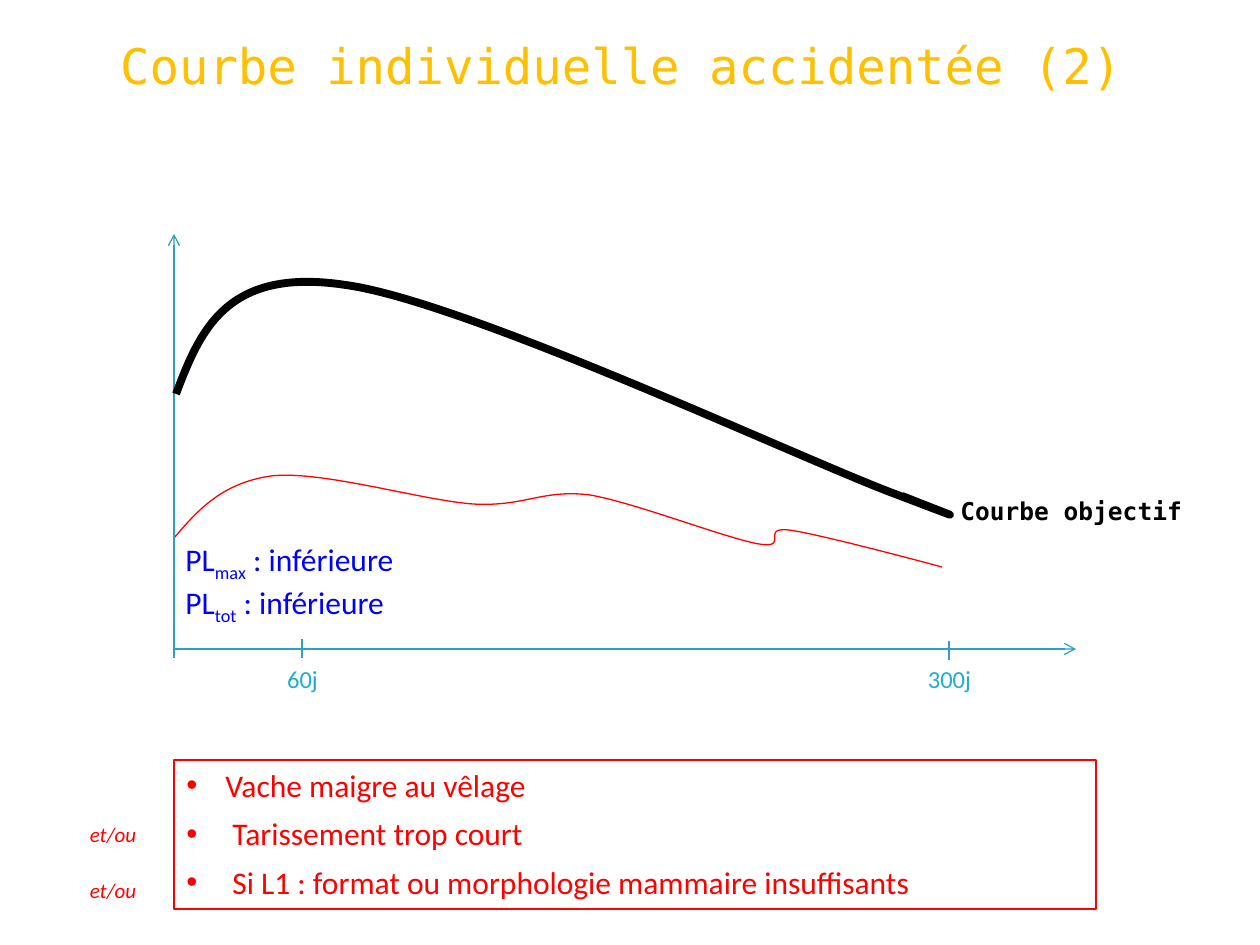
import dataclasses
import pptx
import pptx.dml.color
import pptx.enum.shapes
import pptx.enum.text
import pptx.oxml
import pptx.oxml.ns
import pptx.util

PX = 914400 / 126
SANS, MONO = "Calibri", "DejaVu Sans Mono"
HUES = {"gold": "FFC000", "red": "FF0000", "black": "000000", "blue": "0000FF",
        "axis": "2DA2BF", "mark": "1FAECD"}
ALIGN = pptx.enum.text.PP_ALIGN
ANCHOR = pptx.enum.text.MSO_ANCHOR
qn = pptx.oxml.ns.qn


@dataclasses.dataclass
class Box:
    x: int
    y: int
    w: int
    h: int


@dataclasses.dataclass
class Line:
    x1: int
    y1: int
    x2: int
    y2: int
    arrow: bool = False


@dataclasses.dataclass
class Curve:
    """A start point, then three points for each Bezier piece."""
    points: list
    hue: str
    width: float


def emu(px: float) -> int:
    return round(px * PX)


def rgb(hue: str):
    return pptx.dml.color.RGBColor.from_string(HUES[hue])


def stroke(line, hue: str, width: float) -> None:
    line.color.rgb = rgb(hue)
    line.width = pptx.util.Pt(width)


def bullet(para, indent: int) -> None:
    props = para._p.get_or_add_pPr()
    props.set("marL", str(emu(indent)))
    props.set("indent", str(-emu(indent)))
    props.append(props.makeelement(qn("a:buFont"), {"typeface": "Arial"}))
    props.append(props.makeelement(qn("a:buChar"), {"char": "•"}))


def write(shapes, box: Box, rows: list, *, size: int, hue: str, font: str = SANS,
          bold: bool = False, italic: bool = False, center: bool = False,
          wrap: bool = True, grow: bool = True, middle: bool = False,
          edge: str = "", indent: int = 0, after: int = 0) -> None:
    """Put rows of text in a box; underscores enclose a subscript."""
    place = [emu(v) for v in (box.x, box.y, box.w, box.h)]
    if edge:
        shape = shapes.add_shape(pptx.enum.shapes.MSO_SHAPE.RECTANGLE, *place)
        shape.shadow.inherit = False
        shape.fill.background()
        stroke(shape.line, edge, 0.75)
    else:
        shape = shapes.add_textbox(*place)
    frame = shape.text_frame
    frame.word_wrap = wrap
    frame.vertical_anchor = ANCHOR.MIDDLE if middle else ANCHOR.TOP
    if grow:
        frame.auto_size = pptx.enum.text.MSO_AUTO_SIZE.SHAPE_TO_FIT_TEXT
    for i, row in enumerate(rows):
        para = frame.add_paragraph() if i else frame.paragraphs[0]
        para.alignment = ALIGN.CENTER if center else ALIGN.LEFT
        para.space_after = pptx.util.Pt(after)
        if indent:
            bullet(para, indent)
        for j, part in enumerate(row.split("_")):
            run = para.add_run()
            run.text = part
            run.font.size = pptx.util.Pt(size)
            run.font.name = font
            run.font.bold = bold
            run.font.italic = italic
            run.font.color.rgb = rgb(hue)
            if j % 2:
                run.font._element.set("baseline", "-25000")


def rule(shapes, line: Line) -> None:
    ends = [emu(v) for v in (line.x1, line.y1, line.x2, line.y2)]
    link = shapes.add_connector(pptx.enum.shapes.MSO_CONNECTOR.STRAIGHT, *ends)
    stroke(link.line, "axis", 0.75)
    if line.arrow:
        edge = link.line._get_or_add_ln()
        edge.append(edge.makeelement(qn("a:tailEnd"), {"type": "arrow"}))
    props = link._element.spPr
    props.append(props.makeelement(qn("a:effectLst"), {}))


def draw(shapes, curve: Curve) -> None:
    """Build the outline, then turn each three segments into a Bezier piece."""
    first, *rest = curve.points
    pen = shapes.build_freeform(*first, scale=PX)
    pen.add_line_segments(rest, close=False)
    shape = pen.convert_to_shape()
    shape.shadow.inherit = False
    shape.fill.background()
    stroke(shape.line, curve.hue, curve.width)
    path = next(shape._element.iter(qn("a:path")))
    steps = path.findall(qn("a:lnTo"))
    for i in range(0, len(steps), 3):
        piece = path.makeelement(qn("a:cubicBezTo"), {})
        path.append(piece)
        for step in steps[i:i + 3]:
            piece.append(step[0])
            path.remove(step)


LINES = [
    Line(174, 658, 174, 234, True),
    Line(174, 649, 1076, 649, True),
    Line(302, 639, 302, 658),
    Line(949, 641, 949, 660),
]
GOAL = Curve([(176, 394), (200, 331), (226, 267), (345, 285),
              (465, 301), (801, 459), (895, 494),
              (987, 529), (945, 513), (902, 496)], "black", 4.5)
COW = Curve([(174, 538), (198, 510), (222, 483), (271, 476),
             (321, 470), (420, 500), (473, 504),
             (525, 507), (542, 489), (590, 495),
             (636, 503), (725, 538), (759, 544),
             (791, 549), (759, 527), (789, 530),
             (820, 534), (942, 567), (942, 567)], "red", 0.75)
CAUSES = ["Vache maigre au vêlage", " Tarissement trop court",
          " Si L1 : format ou morphologie mammaire insuffisants"]


def main() -> None:
    deck = pptx.Presentation()
    deck.slide_width, deck.slide_height = emu(1260), emu(945)
    shapes = deck.slides.add_slide(deck.slide_layouts[6]).shapes
    write(shapes, Box(54, 16, 1134, 97), ["Courbe individuelle accidentée (2)"],
          size=28, hue="gold", font=MONO, center=True, middle=True, grow=False)
    write(shapes, Box(174, 760, 922, 149), CAUSES, size=18, hue="red",
          edge="red", indent=39, after=6)
    draw(shapes, COW)
    write(shapes, Box(948, 490, 248, 43), ["Courbe objectif"], size=14,
          hue="black", font=MONO, bold=True, wrap=False)
    for line in LINES:
        rule(shapes, line)
    draw(shapes, GOAL)
    for x, day in ((268, "60j"), (915, "300j")):
        write(shapes, Box(x, 658, 69, 43), [day], size=14, hue="mark",
              center=True, wrap=False)
    write(shapes, Box(173, 534, 989, 89),
          ["PL_max_ : inférieure", "PL_tot_ : inférieure"], size=18, hue="blue")
    for y in (815, 871):
        write(shapes, Box(54, y, 118, 38), ["et/ou"], size=12, hue="red",
              italic=True, center=True)
    deck.save("out.pptx")


if __name__ == "__main__":
    main()
